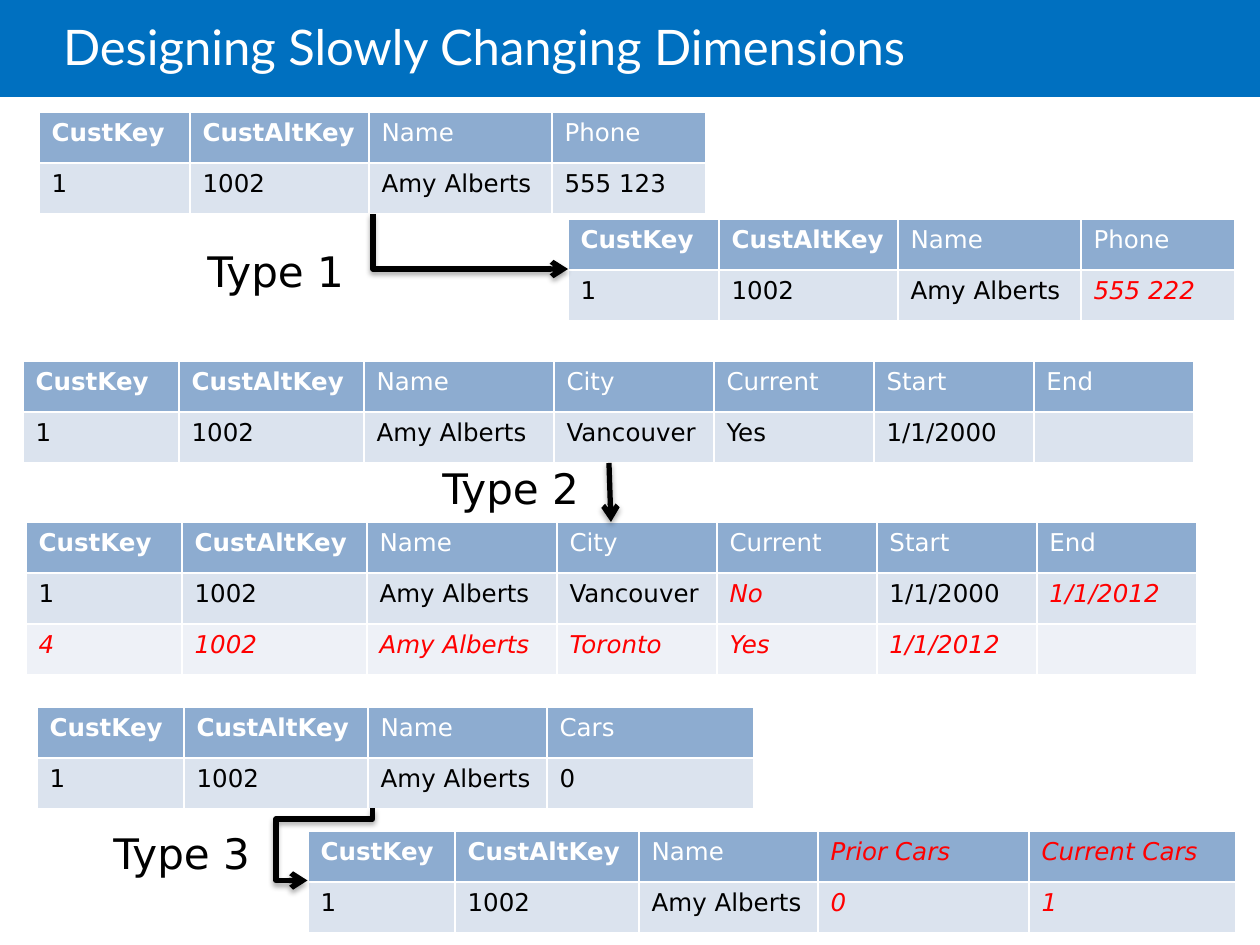
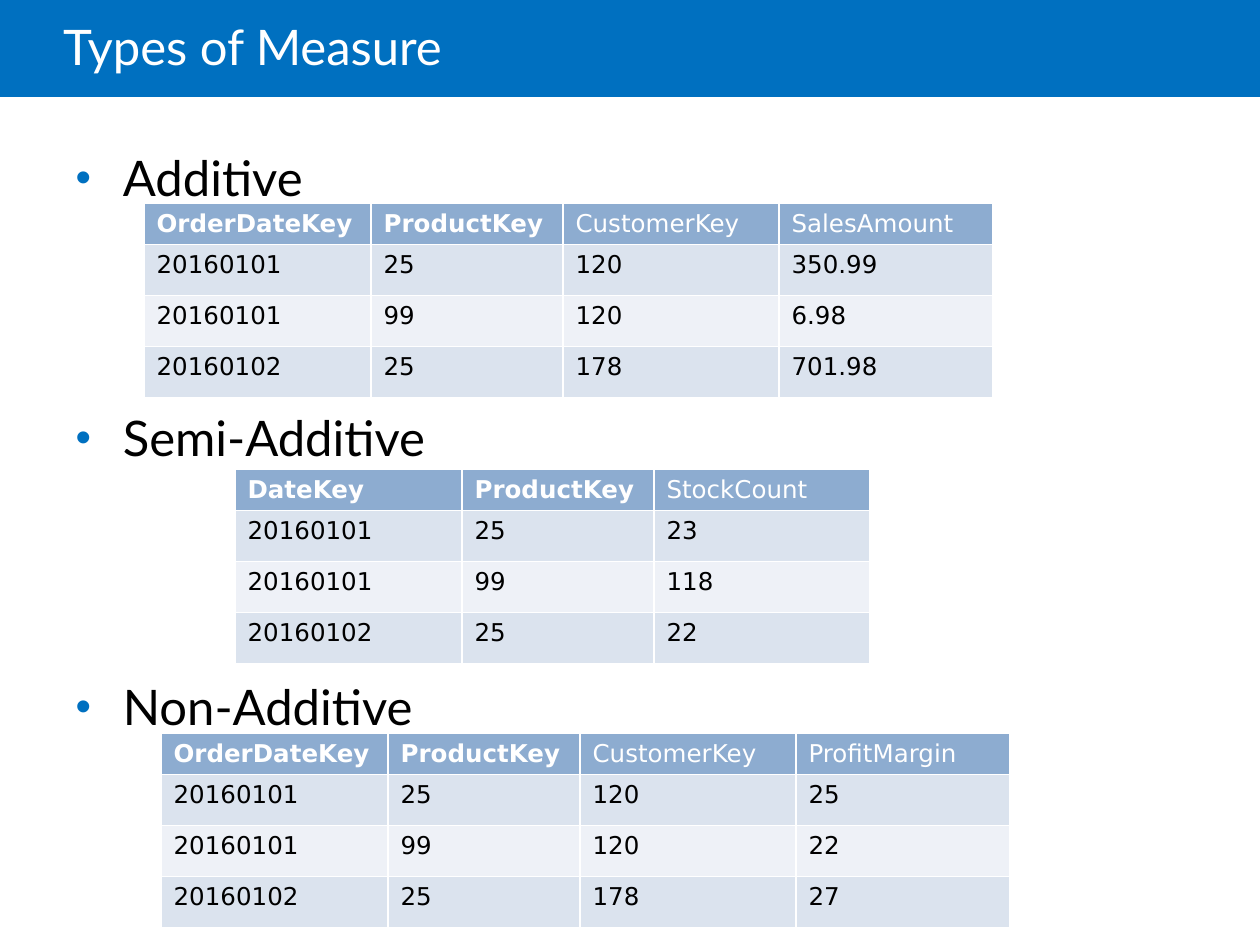
"""Build two slides on slowly changing dimensions and types of measure."""
import pptx
import pptx.util
import pptx.dml.color
import pptx.enum.shapes
import pptx.enum.text
import pptx.oxml
import pptx.oxml.ns

HUE = {"band": "0070C0", "head": "8DACD0", "odd": "DBE3EE", "even": "EEF1F7",
       "white": "FFFFFF", "black": "000000", "red": "FF0000"}
SANS, LATO = "DejaVu Sans", "Lato"
NEW = "*"
TITLES = ["Designing Slowly Changing Dimensions", "Types of Measure"]

CUST = ["CustKey", "CustAltKey", "Name"]
AMY = ["1", "1002", "Amy Alberts"]
SPAN = CUST + ["City", "Current", "Start", "End"]
TYPE1 = [151, 179, 183, 154]
TYPE2 = [156, 185, 190] + [160] * 4
TYPE3 = [147, 184, 179]
CHANGES = [
    ((39, 112), TYPE1, [CUST + ["Phone"], AMY + ["555 123"]]),
    ((568, 219), TYPE1, [CUST + ["Phone"], AMY + ["*555 222"]]),
    ((23, 361), TYPE2, [SPAN, AMY + ["Vancouver", "Yes", "1/1/2000", ""]]),
    ((26, 522), TYPE2, [
        SPAN,
        AMY + ["Vancouver", "*No", "1/1/2000", "*1/1/2012"],
        ["*4", "*1002", "*Amy Alberts", "*Toronto", "*Yes", "*1/1/2012", ""]]),
    ((37, 707), TYPE3 + [207], [CUST + ["Cars"], AMY + ["0"]]),
    ((308, 831), TYPE3 + [211, 207],
     [CUST + ["*Prior Cars", "*Current Cars"], AMY + ["*0", "*1"]]),
]
LABELS = [("Type 1", (195, 239)), ("Type 2", (430, 456)), ("Type 3", (101, 821))]
LINKS = [
    ("bentConnector2", (443, 144, 55, 195), {"rot": "16200000", "flipH": "1"}, []),
    ("line", (609, 463, 2, 59), {}, []),
    ("bentConnector4", (304, 812, 72, 65), {"rot": "5400000"}, [14700, 148700]),
]

FACT = ["OrderDateKey", "ProductKey", "CustomerKey"]
SALES = [["20160101", "25", "120"], ["20160101", "99", "120"],
         ["20160102", "25", "178"]]
WIDE = [227, 192, 216, 214]


def extend(rows, last):
    return [row + [end] for row, end in zip(rows, last)]


MEASURES = [
    ("Additive", 6, (144, 203), WIDE,
     extend([FACT] + SALES, ["SalesAmount", "350.99", "6.98", "701.98"])),
    ("Semi-Additive", 115.2, (235, 469), WIDE[:3],
     [["DateKey", "ProductKey", "StockCount"]]
     + extend([row[:2] for row in SALES], ["23", "118", "22"])),
    ("Non-Additive", 120, (161, 733), WIDE,
     extend([FACT] + SALES, ["ProfitMargin", "25", "22", "27"])),
]


def px(n):
    return pptx.util.Emu(round(n * 914400 / 126))


def shade(name):
    return pptx.dml.color.RGBColor.from_string(HUE[name])


def put(thing, **vals):
    for key, val in vals.items():
        setattr(thing, key, val)


def place(shape, box):
    put(shape, **dict(zip(("left", "top", "width", "height"), map(px, box))))


def xml(text):
    head, tail = text.split(" ", 1)
    return pptx.oxml.parse_xml(f"{head} {pptx.oxml.ns.nsdecls('a')} {tail}")


def write(para, text, size, face, hue, **vals):
    run = para.add_run()
    run.text = text
    put(run.font, size=pptx.util.Pt(size), name=face, **vals)
    run.font.color.rgb = shade(hue)


def paint(shape, hue):
    shape.fill.solid()
    shape.fill.fore_color.rgb = shade(hue)


def add_band(deck, slide):
    band = slide.shapes.add_shape(
        pptx.enum.shapes.MSO_SHAPE.RECTANGLE, 0, 0, deck.slide_width, px(97))
    band.shadow.inherit = False
    paint(band, "band")
    band.line.fill.background()
    deck.slide_master.shapes._spTree.insert(2, band._element)


def add_title(slide, text):
    title = slide.shapes.title
    place(title, (63, 0, 1071, 102))
    frame = title.text_frame
    put(frame, margin_left=0, word_wrap=True,
        auto_size=pptx.enum.text.MSO_AUTO_SIZE.NONE,
        vertical_anchor=pptx.enum.text.MSO_ANCHOR.MIDDLE)
    para = frame.paragraphs[0]
    put(para, alignment=pptx.enum.text.PP_ALIGN.LEFT, line_spacing=0.85)
    write(para, text, 28, LATO, "white")


def fill_cell(cell, text, row, col):
    props = cell._tc.get_or_add_tcPr()
    for side in "LRTB":
        props.append(xml(
            f'<a:ln{side} w="12700"><a:solidFill><a:srgbClr val="{HUE["white"]}"/>'
            f'</a:solidFill></a:ln{side}>'))
    paint(cell, "head" if row == 0 else "odd" if row % 2 else "even")
    if text:
        fresh = text.startswith(NEW)
        hue = "red" if fresh else "black" if row else "white"
        write(cell.text_frame.paragraphs[0], text.removeprefix(NEW), 14, SANS, hue,
              bold=row == 0 and col < 2, italic=fresh)


def add_grid(slide, spot, cols, rows, top=51):
    highs = [top] + [51] * (len(rows) - 1)
    box = map(px, (*spot, sum(cols), sum(highs)))
    grid = slide.shapes.add_table(len(rows), len(cols), *box).table
    grid.horz_banding = False
    for col, wide in zip(grid.columns, cols):
        col.width = px(wide)
    for r, (line, high) in enumerate(zip(rows, highs)):
        grid.rows[r].height = px(high)
        for c, text in enumerate(line):
            fill_cell(grid.cell(r, c), text, r, c)


def add_label(slide, text, spot):
    frame = slide.shapes.add_textbox(*map(px, (*spot, 166, 63))).text_frame
    put(frame, word_wrap=False,
        auto_size=pptx.enum.text.MSO_AUTO_SIZE.SHAPE_TO_FIT_TEXT)
    write(frame.paragraphs[0], text, 24, SANS, "black")


def add_link(slide, kind, box, turn, bends):
    link = slide.shapes.add_connector(
        pptx.enum.shapes.MSO_CONNECTOR.STRAIGHT, 0, 0, 0, 0)
    place(link, box)
    link.line.width = pptx.util.Pt(3)
    link.line.color.rgb = shade("black")
    props = link._element.spPr
    for key, val in turn.items():
        props.xfrm.set(key, val)
    guides = "".join(f'<a:gd name="adj{i}" fmla="val {bend}"/>'
                     for i, bend in enumerate(bends, 1))
    props.replace(props.prstGeom, xml(
        f'<a:prstGeom prst="{kind}"><a:avLst>{guides}</a:avLst></a:prstGeom>'))
    link.line._ln.append(xml('<a:tailEnd type="arrow"/>'))
    props.append(xml(
        '<a:effectLst ><a:outerShdw blurRad="40000" dist="23000" dir="5400000" '
        f'rotWithShape="0"><a:srgbClr val="{HUE["black"]}"><a:alpha val="35000"/>'
        '</a:srgbClr></a:outerShdw></a:effectLst>'))


def add_point(para, text, gap):
    para.space_before = pptx.util.Pt(gap)
    props = para._p.get_or_add_pPr()
    put(props, marL=px(24), indent=-px(24))
    for mark in (f'<a:buClr ><a:srgbClr val="{HUE["band"]}"/></a:buClr>',
                 '<a:buSzPct val="90000"/>', '<a:buFont typeface="Arial"/>',
                 '<a:buChar char="•"/>'):
        props.append(xml(mark))
    write(para, text, 28, LATO, "black")


def draw_changes(slide):
    for spot, cols, rows in CHANGES:
        add_grid(slide, spot, cols, rows)
    for link in LINKS:
        add_link(slide, *link)
    for label in LABELS:
        add_label(slide, *label)


def draw_measures(slide):
    body = slide.placeholders[1]
    place(body, (63, 141, 1119, 709))
    frame = body.text_frame
    put(frame, word_wrap=True, auto_size=pptx.enum.text.MSO_AUTO_SIZE.NONE)
    for i, (name, gap, spot, cols, rows) in enumerate(MEASURES):
        para = frame.add_paragraph() if i else frame.paragraphs[0]
        add_point(para, name, gap)
        add_grid(slide, spot, cols, rows, top=41)


def main():
    deck = pptx.Presentation()
    put(deck, slide_width=px(1260), slide_height=px(945))
    slides = [deck.slides.add_slide(deck.slide_layouts[n]) for n in (5, 1)]
    add_band(deck, slides[0])
    for slide, text, draw in zip(slides, TITLES, (draw_changes, draw_measures)):
        add_title(slide, text)
        draw(slide)
    deck.save("out.pptx")


if __name__ == "__main__":
    main()
